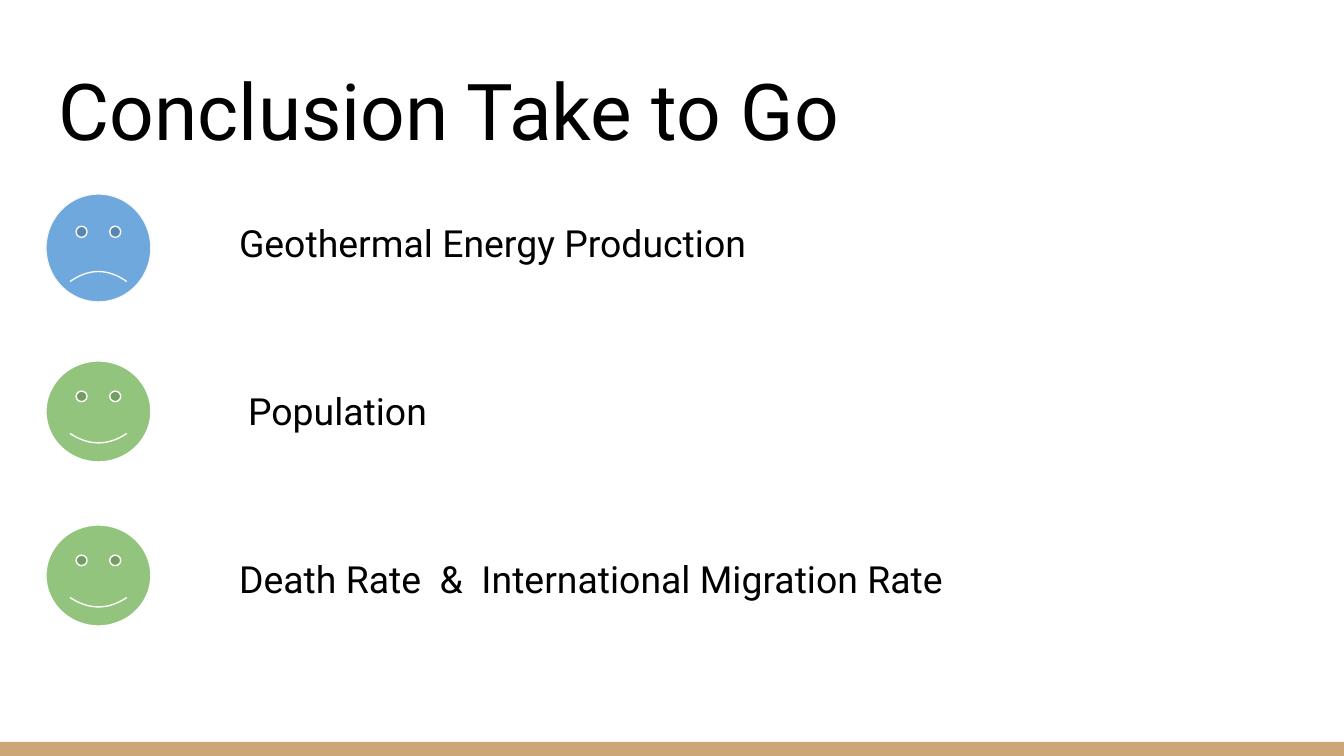
from pptx import Presentation
from pptx.dml.color import RGBColor
from pptx.enum.shapes import MSO_SHAPE as Shape
from pptx.enum.text import MSO_ANCHOR as Anchor
from pptx.util import Inches, Pt

PX = Inches(10) / 1344
INSET = 13
ROW_STEP = 168


def color(hex_string):
    return RGBColor.from_string(hex_string)


def add_text(text, left, top, width, height, size, anchor):
    box = slide.shapes.add_textbox(*[round(value * PX) for value in (left, top, width, height)])
    text_frame = box.text_frame
    text_frame.word_wrap = True
    text_frame.vertical_anchor = anchor
    text_frame.margin_left = text_frame.margin_right = round(INSET * PX)
    text_frame.margin_top = text_frame.margin_bottom = round(INSET * PX)
    text_frame.text = text
    font = text_frame.paragraphs[0].runs[0].font
    font.name = "Roboto"
    font.size = Pt(size)
    font.color.rgb = color("000000")


presentation = Presentation()
presentation.slide_width = round(1344 * PX)
presentation.slide_height = round(756 * PX)
slide = presentation.slides.add_slide(presentation.slide_layouts[6])

footer_bar = slide.shapes.add_shape(
    Shape.RECTANGLE, 0, round(742 * PX), round(1344 * PX), round(14 * PX)
)
footer_bar.shadow.inherit = False
footer_bar.fill.solid()
footer_bar.fill.fore_color.rgb = color("CCA677")
footer_bar.line.fill.background()

add_text("Conclusion Take to Go", 46, 47, 1252, 122, 42, Anchor.BOTTOM)

conclusions = [
    ("Geothermal Energy Production", 226, 782, 194, 108, "6FA8DC", "F8F8F8", -0.05),
    ("Population", 235, 422, 361, 101, "93C47D", "FFFFFF", 0.05),
    ("Death Rate  &  International Migration Rate", 226, 796, 525, 101, "93C47D", "FFFFFF", 0.05),
]
for row, (text, left, width, face_top, face_height, fill, line, smile) in enumerate(conclusions):
    face = slide.shapes.add_shape(
        Shape.SMILEY_FACE, *[round(value * PX) for value in (46, face_top, 105, face_height)]
    )
    face.shadow.inherit = False
    face.adjustments[0] = smile
    face.fill.solid()
    face.fill.fore_color.rgb = color(fill)
    face.line.color.rgb = color(line)
    face.line.width = Pt(0.75)
    add_text(text, left, 207 + row * ROW_STEP, width, 73, 20, Anchor.TOP)

presentation.save("out.pptx")
